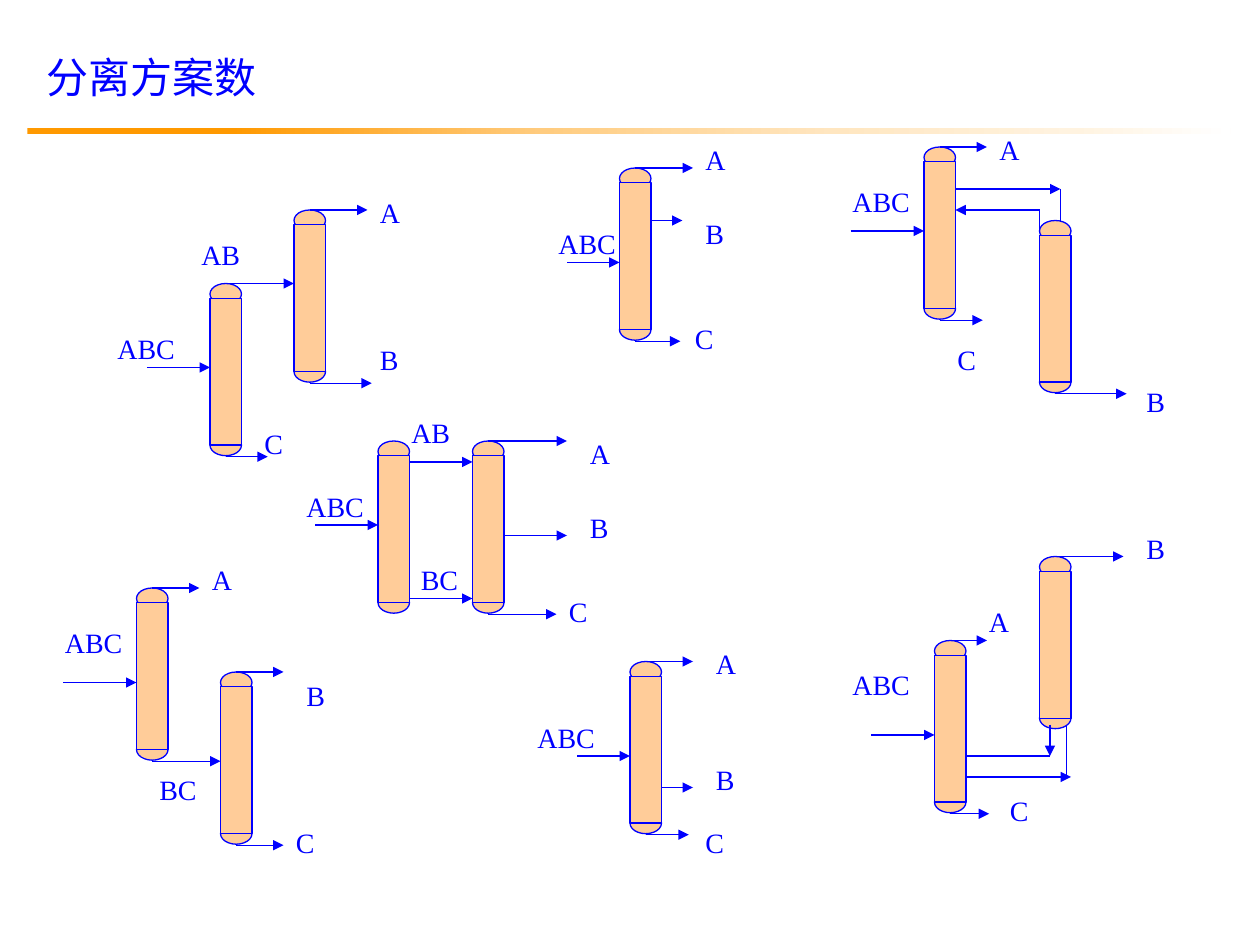
"""Build the slide of seven column schemes for separating a three-component mixture."""
from dataclasses import dataclass
from typing import NamedTuple, Optional

from lxml.etree import SubElement
from pptx import Presentation
from pptx.dml.color import RGBColor
from pptx.enum.shapes import MSO_CONNECTOR as Connector, MSO_SHAPE as Preset
from pptx.enum.text import MSO_ANCHOR as Anchor, MSO_AUTO_SIZE as AutoSize, PP_ALIGN as Align
from pptx.oxml.ns import qn
from pptx.shapes.shapetree import GroupShapes
from pptx.slide import Slide
from pptx.text.text import TextFrame
from pptx.util import Emu, Pt

PX = 7620
BLUE = RGBColor.from_string("0000FF")
PEACH = RGBColor.from_string("FFCC99")
ORANGE = RGBColor.from_string("FF9900")
LIGHT_ORANGE = RGBColor.from_string("FFCC80")
CREAM = RGBColor.from_string("FFE6C0")
IVORY = RGBColor.from_string("FFF3E0")
WHITE = RGBColor.from_string("FFFFFF")
RULE_STOPS = {17: ORANGE, 43: LIGHT_ORANGE, 67: CREAM, 87: IVORY, 100: WHITE}
FONT = "Times New Roman"
LINE_WIDTH = Pt(0.75)
COLUMN_WIDTH, CAP_HEIGHT, SHELL_HEIGHT = 30, 20, 140
SHELL_DROP, BOTTOM_CAP_DROP = 14, 144
COLUMN_HEIGHT = BOTTOM_CAP_DROP + CAP_HEIGHT
LABEL_HEIGHT = 44


class Branch(NamedTuple):
    drop: int
    length: int


class Pipe(NamedTuple):
    x1: int
    y1: int
    x2: int
    y2: int
    arrow: bool = True


class Label(NamedTuple):
    text: str
    left: int
    top: int


@dataclass(frozen=True)
class Column:
    left: int
    top: int
    overhead: Optional[int] = None
    bottoms: Optional[int] = None
    feed: Optional[Branch] = None
    sides: tuple[Branch, ...] = ()


@dataclass(frozen=True)
class Scheme:
    columns: list[Column]
    labels: list[Label]
    pipes: tuple[Pipe, ...] = ()


SCHEMES = [
    Scheme(
        [Column(280, 200, overhead=70, bottoms=74),
         Column(200, 270, overhead=80, bottoms=55, feed=Branch(80, 60))],
        [Label("ABC", 100, 310), Label("AB", 180, 220), Label("C", 240, 400),
         Label("A", 350, 180), Label("B", 350, 320)],
    ),
    Scheme(
        [Column(210, 640, overhead=60, bottoms=60),
         Column(130, 560, overhead=60, bottoms=80, feed=Branch(90, 70))],
        [Label("ABC", 50, 590), Label("BC", 140, 730), Label("A", 190, 530),
         Label("B", 280, 640), Label("C", 270, 780)],
    ),
    Scheme(
        [Column(450, 420, overhead=90, bottoms=80, sides=(Branch(90, 60),)),
         Column(360, 420, feed=Branch(80, 60), sides=(Branch(20, 60), Branch(150, 60)))],
        [Label("ABC", 280, 460), Label("AB", 380, 390), Label("BC", 389, 530),
         Label("A", 550, 410), Label("B", 550, 480), Label("C", 530, 560)],
    ),
    Scheme(
        [Column(600, 630, overhead=60, bottoms=56, feed=Branch(90, 50),
                sides=(Branch(120, 30),))],
        [Label("ABC", 500, 680), Label("A", 670, 610), Label("B", 670, 720),
         Label("C", 660, 780)],
    ),
    Scheme(
        [Column(590, 160, overhead=70, bottoms=58, feed=Branch(90, 50),
                sides=(Branch(50, 30),))],
        [Label("ABC", 520, 210), Label("A", 660, 130), Label("B", 660, 200),
         Label("C", 650, 300)],
    ),
    Scheme(
        [Column(990, 210, bottoms=83),
         Column(880, 140, overhead=60, bottoms=56, feed=Branch(80, 70),
                sides=(Branch(40, 100),))],
        [Label("ABC", 800, 170), Label("A", 940, 120), Label("C", 900, 320),
         Label("B", 1080, 360)],
        (Pipe(1010, 180, 1010, 210, False), Pipe(990, 220, 990, 200, False),
         Pipe(990, 200, 910, 200)),
    ),
    Scheme(
        [Column(990, 530, overhead=80),
         Column(890, 610, overhead=50, bottoms=52, feed=Branch(90, 60),
                sides=(Branch(130, 100),))],
        [Label("ABC", 800, 630), Label("A", 930, 570), Label("C", 950, 750),
         Label("B", 1080, 500)],
        (Pipe(1016, 740, 1016, 690, False), Pipe(1000, 690, 1000, 720),
         Pipe(1000, 720, 920, 720, False)),
    ),
]


def px(*lengths: int) -> list[Emu]:
    return [Emu(length * PX) for length in lengths]


def column_pipes(column: Column) -> list[Pipe]:
    pipes = []
    center, right = column.left + COLUMN_WIDTH // 2, column.left + COLUMN_WIDTH
    if column.feed:
        y = column.top + column.feed.drop
        pipes.append(Pipe(column.left - column.feed.length, y, column.left, y))
    for reach, y in ((column.overhead, column.top),
                     (column.bottoms, column.top + COLUMN_HEIGHT + 1)):
        if reach:
            pipes.append(Pipe(center, y, column.left + reach, y))
    for side in column.sides:
        y = column.top + side.drop
        pipes.append(Pipe(right, y, right + side.length, y))
    return pipes


def draw_column(shapes: GroupShapes, column: Column) -> None:
    for preset, drop, height in (
        (Preset.OVAL, 0, CAP_HEIGHT),
        (Preset.OVAL, BOTTOM_CAP_DROP, CAP_HEIGHT),
        (Preset.RECTANGLE, SHELL_DROP, SHELL_HEIGHT),
    ):
        shape = shapes.add_shape(
            preset, *px(column.left, column.top + drop, COLUMN_WIDTH, height))
        shape.shadow.inherit = False
        shape.fill.solid()
        shape.fill.fore_color.rgb = PEACH
        shape.line.color.rgb = BLUE
        shape.line.width = LINE_WIDTH


def draw_pipe(shapes: GroupShapes, pipe: Pipe) -> None:
    connector = shapes.add_connector(
        Connector.STRAIGHT, *px(pipe.x1, pipe.y1, pipe.x2, pipe.y2))
    connector.line.color.rgb = BLUE
    connector.line.width = LINE_WIDTH
    properties = connector._element.spPr
    if pipe.arrow:
        SubElement(properties.find(qn("a:ln")), qn("a:tailEnd"), type="triangle")
    SubElement(properties, qn("a:effectLst"))


def write_text(frame: TextFrame, text: str, size: int) -> None:
    frame.text = text
    frame.word_wrap = True
    frame.auto_size = AutoSize.SHAPE_TO_FIT_TEXT
    frame.vertical_anchor = Anchor.TOP
    paragraph = frame.paragraphs[0]
    paragraph.alignment = Align.LEFT
    font = paragraph.font
    font.name, font.size, font.color.rgb = FONT, Pt(size), BLUE


def draw_label(shapes: GroupShapes, label: Label) -> None:
    width = 35 + 15 * len(label.text)
    box = shapes.add_textbox(*px(label.left, label.top, width, LABEL_HEIGHT))
    write_text(box.text_frame, label.text, 16)


def draw_scheme(slide: Slide, scheme: Scheme) -> None:
    shapes = slide.shapes.add_group_shape().shapes
    for column in scheme.columns:
        draw_column(shapes, column)
    for column in scheme.columns:
        for pipe in column_pipes(column):
            draw_pipe(shapes, pipe)
    for pipe in scheme.pipes:
        draw_pipe(shapes, pipe)
    for label in scheme.labels:
        draw_label(shapes, label)


def draw_title(slide: Slide, text: str) -> None:
    title = slide.shapes.title
    title.left, title.top, title.width, title.height = px(32, 43, 293, 60)
    write_text(title.text_frame, text, 24)


def draw_rule(slide: Slide) -> None:
    rule = slide.shapes.add_shape(Preset.RECTANGLE, *px(26, 122, 1146, 6))
    rule.shadow.inherit = False
    rule.line.fill.background()
    rule.fill.gradient()
    rule.fill.gradient_angle = 0
    stops = rule._element.spPr.find(qn("a:gradFill")).find(qn("a:gsLst"))
    for stop in list(stops):
        stops.remove(stop)
    for percent, color in RULE_STOPS.items():
        stop = SubElement(stops, qn("a:gs"), pos=f"{percent}000")
        SubElement(stop, qn("a:srgbClr"), val=str(color))


def main() -> None:
    presentation = Presentation()
    presentation.slide_width, presentation.slide_height = px(1200, 900)
    slide = presentation.slides.add_slide(presentation.slide_layouts[5])
    draw_rule(slide)
    draw_title(slide, "分离方案数")
    for scheme in SCHEMES:
        draw_scheme(slide, scheme)
    presentation.save("out.pptx")


if __name__ == "__main__":
    main()
